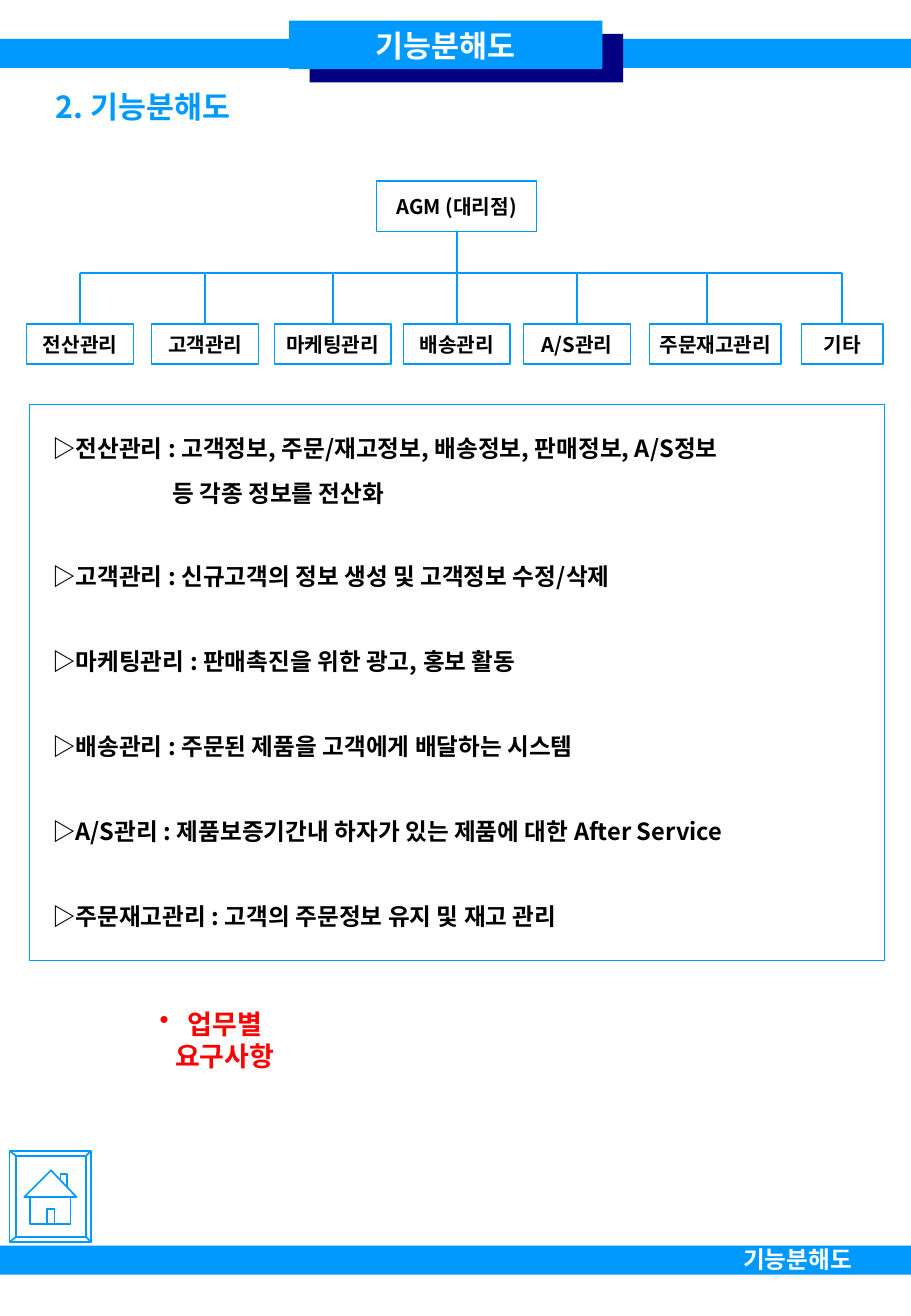
"""Build the functional decomposition page for an agency system."""
from typing import NamedTuple, Optional

from lxml import etree
from pptx import Presentation
from pptx.dml.color import RGBColor
from pptx.enum.shapes import MSO_CONNECTOR, MSO_SHAPE
from pptx.enum.text import MSO_ANCHOR, PP_ALIGN
from pptx.oxml.ns import qn
from pptx.util import Inches, Pt

STRAIGHT = MSO_CONNECTOR.STRAIGHT
RECTANGLE = MSO_SHAPE.RECTANGLE
TOP, MIDDLE = MSO_ANCHOR.TOP, MSO_ANCHOR.MIDDLE
LEFT, CENTER = PP_ALIGN.LEFT, PP_ALIGN.CENTER
TOP_SIDE, BOTTOM_SIDE = 0, 2
FONT = "Noto Sans CJK KR"
BLUE, NAVY, RED, BLACK, WHITE = "0099FF", "000080", "FF0000", "000000", "FFFFFF"
BUS_Y, UNIT_Y = 2.25, 2.67


class Area(NamedTuple):
    left: float
    top: float
    width: float
    height: float


class Unit(NamedTuple):
    name: str
    left: float
    width: float
    drop_shift: float = 0

    @property
    def drop_x(self) -> float:
        return self.left + self.width / 2 + self.drop_shift


class Line(NamedTuple):
    text: str
    space_before: float = 33.6
    indent: float = 0.09


class Contour(NamedTuple):
    points: list[tuple[float, float]]
    closed: bool = True


UNITS = [
    Unit("전산관리", 0.22, 0.88),
    Unit("고객관리", 1.25, 0.88),
    Unit("마케팅관리", 2.26, 0.96),
    Unit("배송관리", 3.32, 0.88),
    Unit("A/S관리", 4.31, 0.88),
    Unit("주문재고관리", 5.35, 1.08, -0.07),
    Unit("기타", 6.6, 0.67),
]
TRUNK_UNIT = "배송관리"
DESCRIPTIONS = [
    Line("▷전산관리 : 고객정보, 주문/재고정보, 배송정보, 판매정보, A/S정보", 0),
    Line("등 각종 정보를 전산화", 9.9, 1.08),
    Line("▷고객관리 : 신규고객의 정보 생성 및 고객정보 수정/삭제", 32.4),
    Line("▷마케팅관리 : 판매촉진을 위한 광고, 홍보 활동"),
    Line("▷배송관리 : 주문된 제품을 고객에게 배달하는 시스템"),
    Line("▷A/S관리 : 제품보증기간내 하자가 있는 제품에 대한 After Service"),
    Line("▷주문재고관리 : 고객의 주문정보 유지 및 재고 관리"),
]
OUTER = [(0.08, 9.48), (0.75, 9.48), (0.75, 10.23), (0.08, 10.23)]
INNER = [(0.13, 9.52), (0.71, 9.52), (0.71, 10.19), (0.13, 10.19)]
HOME_ICON = [
    Contour(OUTER),
    Contour(INNER),
    *(Contour([corner, bevel], False) for corner, bevel in zip(OUTER, INNER)),
    Contour([(0.42, 9.64), (0.63, 9.86), (0.2, 9.86)]),
    Contour([(0.5, 9.72), (0.5, 9.67), (0.55, 9.67), (0.55, 9.78)], False),
    Contour([(0.25, 9.86), (0.25, 10.08), (0.58, 10.08), (0.58, 9.86)], False),
    Contour([(0.39, 10.08), (0.39, 9.96), (0.45, 9.96), (0.45, 10.08)], False),
]


def color(value: str) -> RGBColor:
    return RGBColor.from_string(value)


def inches(area: Area) -> list[int]:
    return [Inches(value) for value in area]


def apply(target, formats: dict) -> None:
    for name, value in formats.items():
        setattr(target, name, value)


def style(shape, fill: Optional[str] = None, line: Optional[str] = None,
          weight: float = 0.75) -> None:
    shape.shadow.inherit = False
    if fill:
        shape.fill.solid()
        shape.fill.fore_color.rgb = color(fill)
    else:
        shape.fill.background()
    if line:
        shape.line.color.rgb = color(line)
        shape.line.width = Pt(weight)
    else:
        shape.line.fill.background()


def add_rectangle(page, area: Area, fill: Optional[str] = None,
                  line: Optional[str] = None):
    box = page.shapes.add_shape(RECTANGLE, *inches(area))
    style(box, fill, line)
    return box


def write(para, text: str, size: float, text_color: str, align=LEFT) -> None:
    para.alignment = align
    span = para.add_run()
    span.text = text
    apply(span.font, {"size": Pt(size), "bold": True, "name": FONT})
    span.font.color.rgb = color(text_color)
    etree.SubElement(span.font._element, qn("a:ea")).set("typeface", FONT)


def label(box, text: str, size: float, text_color: str, align=CENTER,
          wrap: bool = False) -> None:
    apply(box.text_frame, {"word_wrap": wrap, "vertical_anchor": MIDDLE})
    write(box.text_frame.paragraphs[0], text, size, text_color, align)


def add_line(page, start: tuple[float, float], end: tuple[float, float]):
    line = page.shapes.add_connector(STRAIGHT, *map(Inches, start + end))
    line.line.color.rgb = color(BLUE)
    line.line.width = Pt(1)
    etree.SubElement(line._element.spPr, qn("a:effectLst"))
    return line


def add_tree(page) -> None:
    root = add_rectangle(page, Area(3.1, 1.49, 1.32, 0.42), line=BLUE)
    label(root, "AGM (대리점)", 12, BLACK)
    add_line(page, (UNITS[0].drop_x, BUS_Y), (UNITS[-1].drop_x, BUS_Y))
    for unit in UNITS:
        box = add_rectangle(page, Area(unit.left, UNIT_Y, unit.width, 0.33), line=BLUE)
        label(box, unit.name, 12, BLACK)
        drop = add_line(page, (unit.drop_x, BUS_Y), (unit.drop_x, UNIT_Y))
        if unit.name == TRUNK_UNIT:
            drop.begin_connect(root, BOTTOM_SIDE)
        if not unit.drop_shift:
            drop.end_connect(box, TOP_SIDE)


def add_descriptions(page) -> None:
    box = add_rectangle(page, Area(0.24, 3.33, 7.04, 4.58), line=BLUE)
    frame = box.text_frame
    apply(frame, {"word_wrap": True, "vertical_anchor": MIDDLE})
    for index, line in enumerate(DESCRIPTIONS):
        para = frame.add_paragraph() if index else frame.paragraphs[0]
        para._p.get_or_add_pPr().set("marL", str(Inches(line.indent)))
        para.line_spacing = Pt(16.8)
        if index:
            para.space_before = Pt(line.space_before)
        write(para, line.text, 14, BLACK)


def add_requirement(page) -> None:
    box = page.shapes.add_textbox(*inches(Area(0.82, 8.25, 1.83, 0.64)))
    apply(box.text_frame, {"word_wrap": True, "vertical_anchor": TOP})
    para = box.text_frame.paragraphs[0]
    para.line_spacing = Pt(19)
    props = para._p.get_or_add_pPr()
    props.set("marL", str(Inches(0.23)))
    props.set("indent", str(-Inches(0.23)))
    bullet_color = etree.SubElement(props, qn("a:buClr"))
    etree.SubElement(bullet_color, qn("a:srgbClr")).set("val", RED)
    etree.SubElement(props, qn("a:buChar")).set("char", "•")
    write(para, "업무별 요구사항", 16, RED, CENTER)


def add_home_icon(page) -> None:
    builder = page.shapes.build_freeform(*map(Inches, OUTER[0]))
    for contour in HOME_ICON:
        start, *rest = [(Inches(x), Inches(y)) for x, y in contour.points]
        builder.move_to(*start)
        builder.add_line_segments(rest, close=contour.closed)
    style(builder.convert_to_shape(), line=BLUE, weight=1)


def main() -> None:
    deck = Presentation()
    apply(deck, {"slide_width": Inches(7.5), "slide_height": Inches(10.84)})
    page = deck.slides.add_slide(deck.slide_layouts[6])
    heading = page.shapes.add_textbox(*inches(Area(0.36, 0.68, 4.64, 0.4)))
    label(heading, "2. 기능분해도", 18, BLUE, LEFT, True)
    add_tree(page)
    add_descriptions(page)
    for band_y in (10.26, 0.32):
        add_rectangle(page, Area(0, band_y, 7.5, 0.24), BLUE)
    footer = page.shapes.add_textbox(*inches(Area(6.02, 10.2, 1.39, 0.34)))
    label(footer, "기능분해도", 14, WHITE, LEFT, True)
    add_rectangle(page, Area(2.55, 0.28, 2.58, 0.4), NAVY)
    banner = add_rectangle(page, Area(2.38, 0.17, 2.58, 0.4), BLUE)
    label(banner, "기능분해도", 18, WHITE, wrap=True)
    add_home_icon(page)
    add_requirement(page)
    deck.save("out.pptx")


if __name__ == "__main__":
    main()
